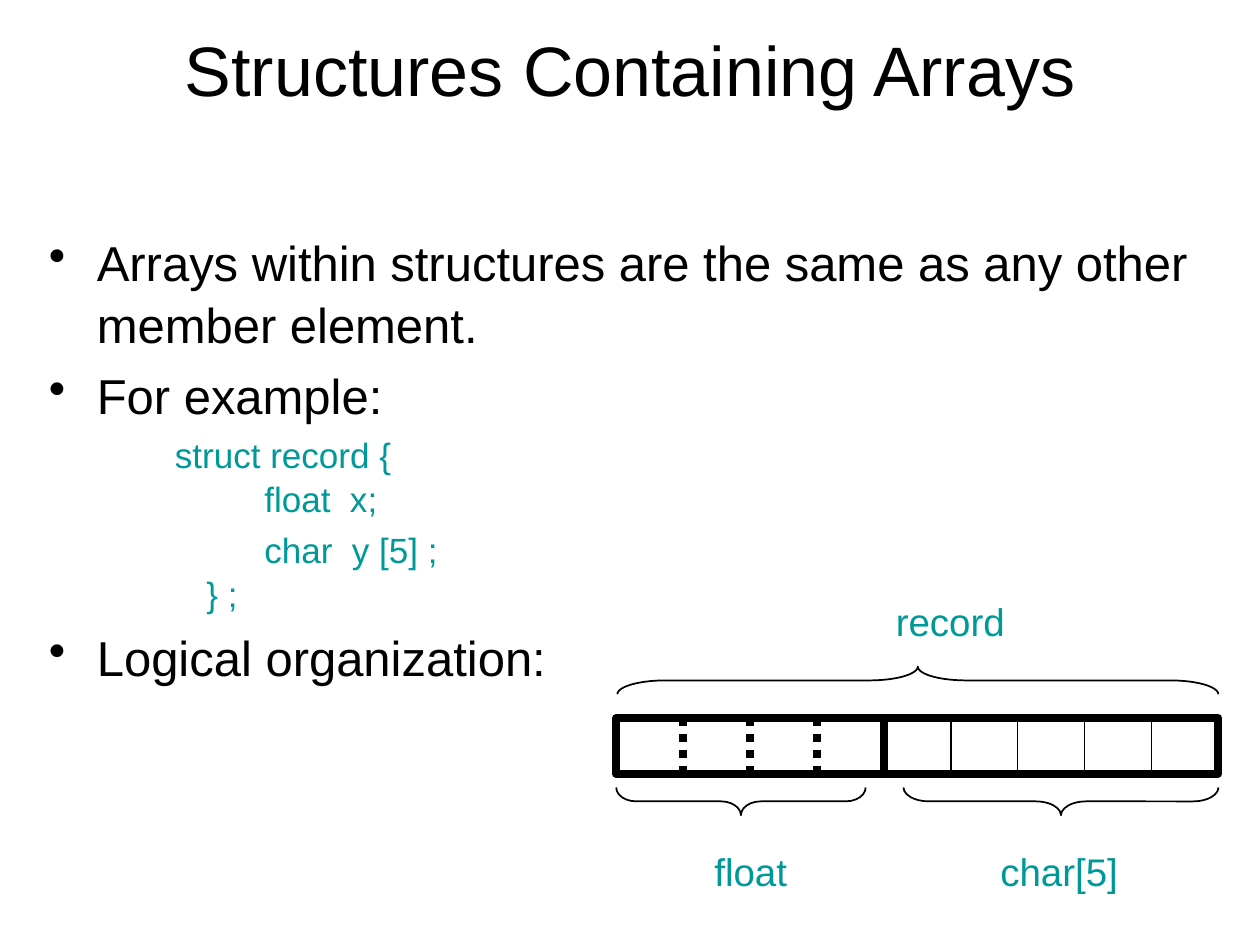
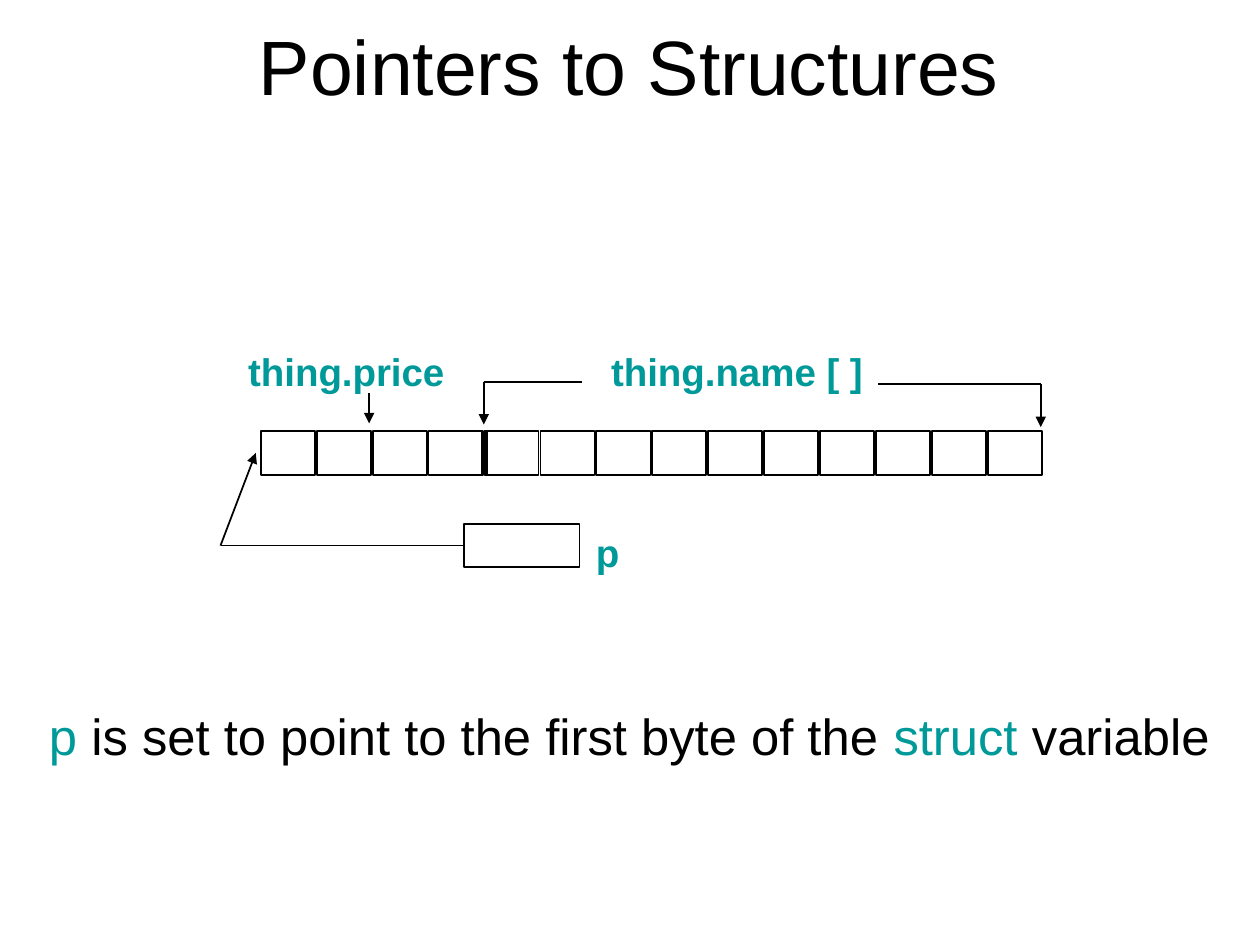
"""Build two slides on structures with arrays and pointers to structures."""
from lxml.etree import SubElement
from pptx import Presentation
from pptx.dml.color import RGBColor
from pptx.enum.dml import MSO_LINE
from pptx.enum.shapes import MSO_CONNECTOR, MSO_SHAPE
from pptx.enum.text import MSO_ANCHOR, PP_ALIGN
from pptx.oxml.ns import qn
from pptx.util import Inches, Pt

COLORS = {"ink": "000000", "code": "009999", "paper": "FFFFFF"}
FONT = "Arial"
THIN, THICK = 1, 4.5
LABEL_SIZE = 22
BODY_LEFT, BODY_WIDTH = 0.29, 9.42

TITLES = [
    ("Structures Containing Arrays", 40, (0.96, 0.17, 8.08, 0.75)),
    ("Pointers to Structures", 44, (1.12, 0.08, 7.75, 0.87)),
]

STYLES = {
    "bullet": dict(size=28, color="ink", left=0.38, hang=-0.38, before=5.6, bullet="•"),
    "open": dict(size=20, color="code", left=1, before=4),
    "member": dict(size=20, color="code", left=1.71),
    "next member": dict(size=20, color="code", left=1.71, before=4),
    "close": dict(size=20, color="code", left=1.25),
    "sentence": dict(size=29, color="ink"),
}
ARRAY_BODY = [
    ("bullet", [("Arrays within structures are the same as any other member element.", "ink")]),
    ("bullet", [("For example:", "ink")]),
    ("open", [("struct record {", "code")]),
    ("member", [("float  x;", "code")]),
    ("next member", [("char  y [5] ;", "code")]),
    ("close", [("} ;", "code")]),
    ("bullet", [("Logical organization:", "ink")]),
]
POINTER_BODY = [
    ("sentence", [("p ", "code"), ("is set to point to the first byte of the ", "ink"),
                  ("struct", "code"), (" variable", "ink")]),
]

RECORD = dict(left=4.89, right=9.67, top=5.7, height=0.44)
FLOAT_BYTES, CHAR_BYTES = 4, 5
RECORD_LABELS = [
    ("float", (5.58, 6.65, 0.77, 0.46)),
    ("char[5]", (7.85, 6.65, 1.13, 0.46)),
    ("record", (7.02, 4.67, 1.06, 0.46)),
]
BRACE_DEPTH = 0.22
BRACES = [
    (4.9, 9.67, 5.29, 270, 1.75),
    (4.89, 6.87, 6.25, 90, 0.72),
    (7.17, 9.67, 6.25, 90, 0.92),
]

THING = dict(left=2.07, last=7.84, top=3.42, width=0.43, height=0.35)
PRICE_BYTES, NAME_BYTES = 4, 10
THING_LABELS = [
    ("thing.price", (1.88, 2.68, 1.77, 0.46)),
    ("thing.name [ ]", (4.76, 2.68, 2.21, 0.46)),
    ("p", (4.64, 4.12, 0.37, 0.46)),
]
POINTER_BOX = (3.68, 4.16, 0.92, 0.34)
POINTER_TURN = 1.75
THING_LINES = [
    (2.93, 3.12, 2.93, 3.36, True),
    (4.62, 3.03, 3.84, 3.03, False),
    (3.84, 3.03, 3.84, 3.37, True),
    (6.97, 3.05, 8.26, 3.05, False),
    (8.26, 3.05, 8.26, 3.39, True),
]


def rgb(name):
    return RGBColor.from_string(COLORS[name])


def frame(s, box, inset_x, inset_top, anchor=MSO_ANCHOR.TOP, wrap=True):
    sp = s.shapes.add_textbox(*map(Inches, box))
    tf = sp.text_frame
    tf.word_wrap = wrap
    tf.vertical_anchor = anchor
    tf.margin_left = tf.margin_right = Inches(inset_x)
    tf.margin_top = Inches(inset_top)
    tf.margin_bottom = Inches(0.05)
    return tf


def style_run(r, size, color, bold=False):
    r.font.name, r.font.size, r.font.bold = FONT, Pt(size), bold
    r.font.color.rgb = rgb(color)


def add_title(s, text, size, box):
    tf = frame(s, box, 0.1, 0.05, MSO_ANCHOR.MIDDLE)
    tf.text = text
    p = tf.paragraphs[0]
    p.alignment = PP_ALIGN.CENTER
    style_run(p.runs[0], size, "ink")


def add_body(s, top, height, paragraphs):
    tf = frame(s, (BODY_LEFT, top, BODY_WIDTH, height), 0.1, 0.07)
    for i, (kind, runs) in enumerate(paragraphs):
        style = STYLES[kind]
        p = tf.add_paragraph() if i else tf.paragraphs[0]
        p.line_spacing = 1.05
        p.space_before = Pt(style.get("before", 0) if i else 0)
        pPr = p._p.get_or_add_pPr()
        pPr.set("marL", str(Inches(style.get("left", 0))))
        pPr.set("indent", str(Inches(style.get("hang", 0))))
        if "bullet" in style:
            SubElement(pPr, qn("a:buChar")).set("char", style["bullet"])
        for text, color in runs:
            r = p.add_run()
            r.text = text
            style_run(r, style["size"], color)


def add_labels(s, labels, bold=False):
    for text, box in labels:
        tf = frame(s, box, 0.09, 0.08, wrap=False)
        tf.text = text
        style_run(tf.paragraphs[0].runs[0], LABEL_SIZE, "code", bold)


def add_outline(s, box, width=THIN, kind=MSO_SHAPE.RECTANGLE):
    sp = s.shapes.add_shape(kind, *map(Inches, box))
    sp.shadow.inherit = False
    sp.fill.background()
    sp.line.color.rgb = rgb("ink")
    sp.line.width = Pt(width)
    return sp


def add_line(s, x1, y1, x2, y2, arrow=False, width=THIN, dash=None):
    c = s.shapes.add_connector(MSO_CONNECTOR.STRAIGHT, *map(Inches, (x1, y1, x2, y2)))
    c.line.color.rgb = rgb("ink")
    c.line.width = Pt(width)
    if dash:
        c.line.dash_style = dash
    if arrow:
        SubElement(c.line._get_or_add_ln(), qn("a:tailEnd")).set("type", "triangle")
    SubElement(c._element.spPr, qn("a:effectLst"))
    return c


def add_brace(s, left, right, top, rotation, curl):
    length = right - left
    box = ((left + right - BRACE_DEPTH) / 2, top + (BRACE_DEPTH - length) / 2,
           BRACE_DEPTH, length)
    sp = add_outline(s, box, kind=MSO_SHAPE.RIGHT_BRACE)
    sp.adjustments[0], sp.adjustments[1] = curl, 0.5
    sp.rotation = rotation


def draw_record(s):
    left, top, height = RECORD["left"], RECORD["top"], RECORD["height"]
    total = FLOAT_BYTES + CHAR_BYTES
    step = (RECORD["right"] - left) / total
    for first, count in ((0, FLOAT_BYTES), (FLOAT_BYTES, CHAR_BYTES)):
        add_outline(s, (left + first * step, top, count * step, height), THICK)
    for i in range(1, total):
        x = left + i * step
        if i < FLOAT_BYTES:
            add_line(s, x, top, x, top + height, width=THICK, dash=MSO_LINE.ROUND_DOT)
        elif i > FLOAT_BYTES:
            add_line(s, x, top, x, top + height)
    for brace in BRACES:
        add_brace(s, *brace)
    add_labels(s, RECORD_LABELS)


def draw_thing(s):
    left, top, height = THING["left"], THING["top"], THING["height"]
    total = PRICE_BYTES + NAME_BYTES
    step = (THING["last"] - left) / (total - 1)
    for i in range(total):
        add_outline(s, (left + i * step, top, THING["width"], height))
    divider = left + PRICE_BYTES * step
    add_line(s, divider, top, divider, top + height, width=THICK)
    add_labels(s, THING_LABELS, bold=True)
    for line in THING_LINES:
        add_line(s, *line)
    x, y, _, h = POINTER_BOX
    middle = y + h / 2
    pointer = add_outline(s, POINTER_BOX)
    add_line(s, x, middle, POINTER_TURN, middle).begin_connect(pointer, 1)
    add_line(s, POINTER_TURN, middle, left - 0.04, top + height / 2, arrow=True)


def main():
    prs = Presentation()
    prs.slide_width, prs.slide_height = Inches(10), Inches(7.5)
    pages = [(1.75, 4.02, ARRAY_BODY, draw_record), (5.5, 0.75, POINTER_BODY, draw_thing)]
    for title, (top, height, body, draw) in zip(TITLES, pages):
        s = prs.slides.add_slide(prs.slide_layouts[6])
        add_title(s, *title)
        add_body(s, top, height, body)
        draw(s)
    prs.save("out.pptx")


if __name__ == "__main__":
    main()
